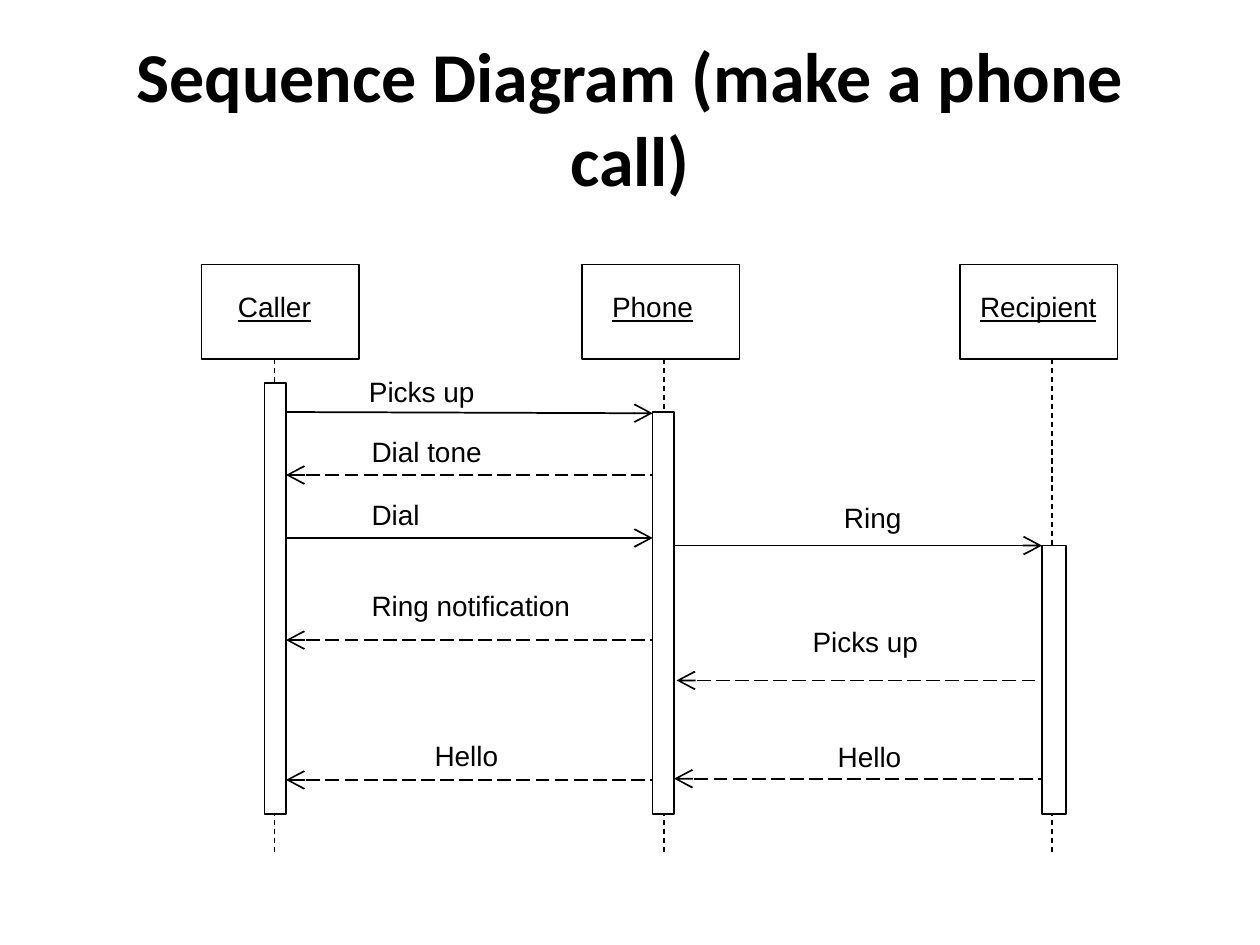
from pptx import Presentation
from pptx.dml.color import RGBColor
from pptx.enum.dml import MSO_LINE
from pptx.enum.shapes import MSO_CONNECTOR, MSO_SHAPE
from pptx.enum.text import MSO_ANCHOR, MSO_AUTO_SIZE, PP_ALIGN
from pptx.oxml.ns import qn
from pptx.util import Inches, Pt
from lxml.etree import SubElement

INK = "000000"
PAPER = "FFFFFF"
HEAD_W, HEAD_H = 1.25, 0.75
LIFE_END, BAR_END = 4.67, 4.36
WIDTHS = {
    "Caller": 0.79, "Phone": 0.85, "Recipient": 1.13, "Picks up": 1.05,
    "Dial tone": 1.09, "Dial": 0.59, "Ring notification": 1.79,
    "Ring": 0.67, "Hello": 0.71,
}

ACTORS = [
    ("Caller", 0, 0.19, 0.58, 0.5, 0.94, 0.17),
    ("Phone", 3.02, 3.16, 3.67, 3.58, 1.17, 0.17),
    ("Recipient", 6.02, 6.08, 6.75, 6.67, 2.23, 0.19),
]

CALLS = [
    ("Picks up", 1.23, 0.82, 0.58, 3.58, 1.17, 1.18),
    ("Dial tone", 1.25, 1.3, 3.67, 0.67, 1.67, 1.67),
    ("Dial", 1.25, 1.8, 0.58, 3.58, 2.17, 2.17),
    ("Ring notification", 1.25, 2.52, 3.67, 0.67, 2.98, 2.98),
    ("Ring", 5, 1.82, 3.67, 6.67, 2.23, 2.23),
    ("Picks up", 4.75, 2.81, 6.77, 3.77, 3.3, 3.3),
    ("Hello", 4.95, 3.72, 6.75, 3.75, 4.08, 4.08),
    ("Hello", 1.75, 3.71, 3.67, 0.67, 4.09, 4.09),
]


def color(code):
    return RGBColor.from_string(code)


def style(run, size, font, bold=False, under=False):
    run.font.size = Pt(size)
    run.font.name = font
    run.font.bold = bold
    run.font.underline = under
    run.font.color.rgb = color(INK)


def add_title(slide, left, top, width, height):
    title = slide.shapes.title
    title.left, title.top = Inches(left), Inches(top)
    title.width, title.height = Inches(width), Inches(height)
    frame = title.text_frame
    frame.text = "Sequence Diagram (make a phone call)"
    frame.word_wrap = True
    frame.auto_size = MSO_AUTO_SIZE.NONE
    frame.vertical_anchor = MSO_ANCHOR.MIDDLE
    frame.paragraphs[0].alignment = PP_ALIGN.CENTER
    style(frame.paragraphs[0].runs[0], 40, "Calibri", bold=True)


def add_rect(slide, left, top, width, height, weight, fill=None):
    rect = slide.shapes.add_shape(
        MSO_SHAPE.RECTANGLE, Inches(left), Inches(top), Inches(width), Inches(height))
    rect.shadow.inherit = False
    if fill:
        rect.fill.solid()
        rect.fill.fore_color.rgb = color(fill)
    else:
        rect.fill.background()
    rect.line.color.rgb = color(INK)
    rect.line.width = Pt(weight)


def add_line(slide, x1, y1, x2, y2, weight, dash=None, arrow=False):
    line = slide.shapes.add_connector(
        MSO_CONNECTOR.STRAIGHT, Inches(x1), Inches(y1), Inches(x2), Inches(y2))
    line.line.color.rgb = color(INK)
    line.line.width = Pt(weight)
    if dash:
        line.line.dash_style = dash
    if arrow:
        SubElement(line.line._get_or_add_ln(), qn("a:tailEnd"),
                   type="arrow", w="lg", len="lg")
    SubElement(line._element.spPr, qn("a:effectLst"))


def add_label(slide, text, left, top, under=False):
    box = slide.shapes.add_textbox(
        Inches(left), Inches(top), Inches(WIDTHS[text]), Inches(0.37))
    frame = box.text_frame
    frame.text = text
    frame.word_wrap = False
    frame.auto_size = MSO_AUTO_SIZE.SHAPE_TO_FIT_TEXT
    frame.paragraphs[0].alignment = PP_ALIGN.LEFT
    style(frame.paragraphs[0].runs[0], 16, "Arial", under=under)


def add_diagram(slide, left, top):
    for name, head, label, life, *_ in ACTORS:
        add_rect(slide, left + head, top, HEAD_W, HEAD_H, 0.75)
        add_label(slide, name, left + label, top + 0.15, under=True)
        add_line(slide, left + life, top + HEAD_H, left + life, top + LIFE_END,
                 0.75, MSO_LINE.DASH)
    for text, x, y, start, end, level, finish in CALLS:
        dash = MSO_LINE.LONG_DASH if end < start else None
        add_line(slide, left + start, top + level, left + end, top + finish,
                 1, dash, arrow=True)
        add_label(slide, text, left + x, top + y)
    for *_, bar, begin, width in ACTORS:
        add_rect(slide, left + bar, top + begin, width, BAR_END - begin, 1, PAPER)


def main():
    deck = Presentation()
    deck.slide_width, deck.slide_height = Inches(10), Inches(7.5)
    slide = deck.slides.add_slide(deck.slide_layouts[5])
    slide.background.fill.solid()
    slide.background.fill.fore_color.rgb = color(PAPER)
    add_title(slide, 0.5, 0.3, 9, 1.25)
    add_diagram(slide, 1.6, 2.1)
    deck.save("out.pptx")


if __name__ == "__main__":
    main()
